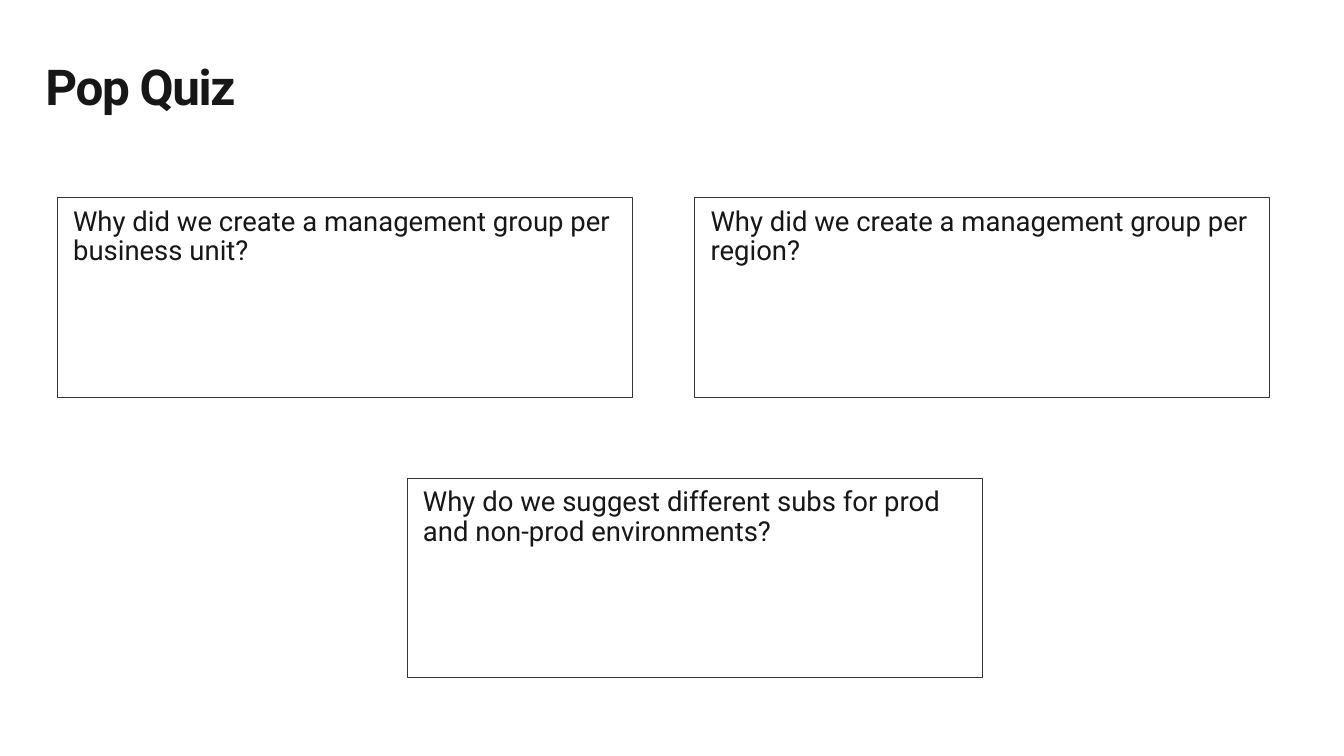
from pptx import Presentation
from pptx.dml.color import RGBColor
from pptx.enum.shapes import MSO_SHAPE
from pptx.enum.text import MSO_ANCHOR, PP_ALIGN
from pptx.util import Inches, Pt

RECTANGLE = MSO_SHAPE.RECTANGLE
TOP = MSO_ANCHOR.TOP
LEFT = PP_ALIGN.LEFT

# Content: each question with the left and top of its box
TITLE = "Pop Quiz"
QUESTIONS = [
    ("Why did we create a management group per business unit?", 0.58, 2),
    ("Why did we create a management group per region?", 7.03, 2),
    ("Why do we suggest different subs for prod and non-prod environments?", 4.12, 4.84),
]
COLORS = {"text": "171717", "border": "353535", "box": "FFFFFF"}
FONT = "Roboto"
BOX_WIDTH, BOX_HEIGHT = 5.82, 2.02


def color(name):
    return RGBColor.from_string(COLORS[name])


def write_text(shape, text, size, bold=False):
    frame = shape.text_frame
    frame.word_wrap = True
    frame.vertical_anchor = TOP
    frame.margin_left = frame.margin_right = Inches(0.16)
    frame.margin_top = frame.margin_bottom = Inches(0.1)
    paragraph = frame.paragraphs[0]
    paragraph.alignment = LEFT
    paragraph.line_spacing = 0.9
    run = paragraph.add_run()
    run.text = text
    run.font.name = FONT
    run.font.size = Pt(size)
    run.font.bold = bold
    run.font.color.rgb = color("text")
    return run


def add_question(slide, text, left, top):
    box = slide.shapes.add_shape(RECTANGLE, Inches(left), Inches(top),
                                 Inches(BOX_WIDTH), Inches(BOX_HEIGHT))
    box.shadow.inherit = False
    box.fill.solid()
    box.fill.fore_color.rgb = color("box")
    box.line.color.rgb = color("border")
    box.line.width = Pt(0.75)
    write_text(box, text, 20)


def main():
    presentation = Presentation()
    presentation.slide_width = Inches(13.6)
    presentation.slide_height = Inches(7.65)
    slide = presentation.slides.add_slide(presentation.slide_layouts[6])

    # Title, with letters set 1 pt tighter
    title = slide.shapes.add_textbox(Inches(0.3), Inches(0.54), Inches(13), Inches(0.79))
    title_run = write_text(title, TITLE, 36, bold=True)
    title_run._r.get_or_add_rPr().set("spc", "-100")

    # Question boxes
    for text, left, top in QUESTIONS:
        add_question(slide, text, left, top)

    presentation.save("out.pptx")


if __name__ == "__main__":
    main()
